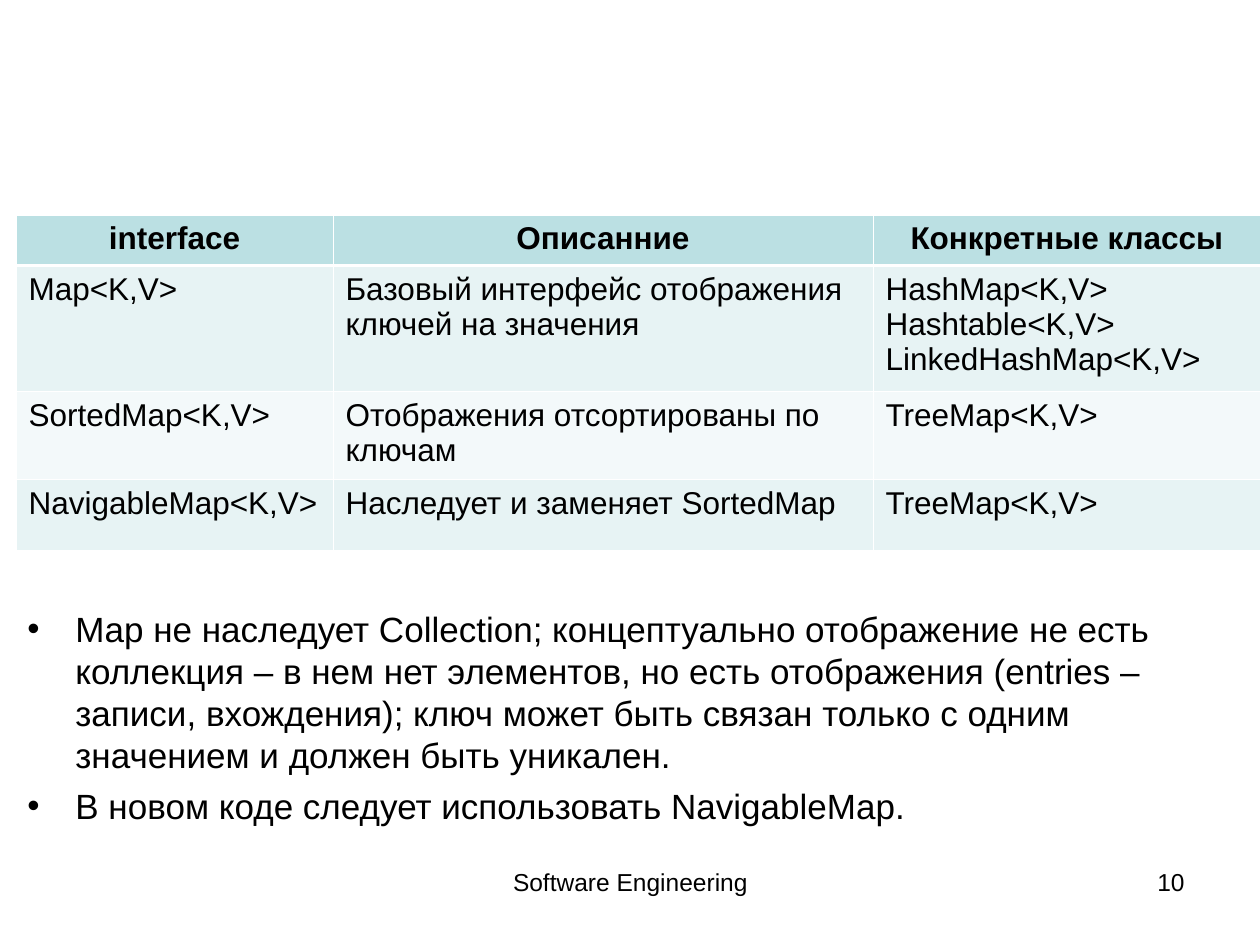
import dataclasses
import pptx
import pptx.dml.color
import pptx.enum.text
import pptx.oxml.ns
import pptx.util
from lxml import etree

SCALE = 914400 / 126
FONT = "Arial"
HUES = {"text": "000000", "head": "BBE0E3", "odd": "E7F3F4", "even": "F3F9FA", "line": "FFFFFF"}
ALIGN = pptx.enum.text.PP_ALIGN


@dataclasses.dataclass
class Box:
    left: int
    top: int
    width: int
    height: int
    lines: list[str]
    size: int
    align: ALIGN = ALIGN.LEFT
    listed: bool = False


@dataclasses.dataclass
class Row:
    height: int
    cells: list[str]
    fill: str
    bold: bool = False


COLS = [317, 540, 388]
ROWS = [
    Row(50, ["interface", "Описанние", "Конкретные классы"], "head", True),
    Row(126, ["Map<K,V>", "Базовый интерфейс отображения ключей на значения",
              "HashMap<K,V>\nHashtable<K,V>\nLinkedHashMap<K,V>"], "odd"),
    Row(88, ["SortedMap<K,V>", "Отображения отсортированы по ключам", "TreeMap<K,V>"], "even"),
    Row(71, ["NavigableMap<K,V>", "Наследует и заменяет SortedMap", "TreeMap<K,V>"], "odd"),
]
FOOT = [
    Box(431, 861, 399, 65, ["Software Engineering"], 14, ALIGN.CENTER),
    Box(903, 861, 294, 65, ["10"], 14, ALIGN.RIGHT),
]
NOTES = Box(15, 601, 1230, 243, [
    "Map не наследует Collection; концептуально отображение не есть коллекция – в нем нет "
    "элементов, но есть отображения (entries – записи, вхождения); ключ может быть связан "
    "только с одним значением и должен быть уникален.",
    "В новом коде следует использовать NavigableMap.",
], 20, listed=True)


def px(n: int) -> int:
    return round(n * SCALE)


def hue(key: str) -> pptx.dml.color.RGBColor:
    return pptx.dml.color.RGBColor.from_string(HUES[key])


def sub(node, tag: str, **attrs: str):
    return etree.SubElement(node, pptx.oxml.ns.qn(tag), attrs)


def style(frame, size: int, align: ALIGN, bold: bool = False) -> None:
    for para in frame.paragraphs:
        para.alignment = align
        for run in para.runs:
            run.font.name = FONT
            run.font.size = pptx.util.Pt(size)
            run.font.bold = bold
            run.font.color.rgb = hue("text")


def bullet(para) -> None:
    para.space_before = pptx.util.Pt(5)
    props = para._p.get_or_add_pPr()
    props.set("marL", str(px(48)))
    props.set("indent", str(px(-48)))
    sub(sub(props, "a:buClr"), "a:srgbClr", val=HUES["text"])
    sub(props, "a:buFont", typeface=FONT)
    sub(props, "a:buChar", char="•")


def border(cell, top: float, base: float) -> None:
    props = cell._tc.get_or_add_tcPr()
    for side, width in zip("LRTB", (0.45, 0.45, top, base)):
        line = sub(props, f"a:ln{side}", w=str(pptx.util.Pt(width)))
        sub(sub(line, "a:solidFill"), "a:srgbClr", val=HUES["line"])


def write(slide, box: Box) -> None:
    shape = slide.shapes.add_textbox(px(box.left), px(box.top), px(box.width), px(box.height))
    frame = shape.text_frame
    frame.word_wrap = True
    frame.text = "\n".join(box.lines)
    style(frame, box.size, box.align)
    if box.listed:
        for para in frame.paragraphs:
            bullet(para)


def grid(slide, left: int, top: int) -> None:
    width, height = sum(COLS), sum(row.height for row in ROWS)
    table = slide.shapes.add_table(len(ROWS), len(COLS), px(left), px(top),
                                   px(width), px(height)).table
    for col, size in zip(table.columns, COLS):
        col.width = px(size)
    for i, row in enumerate(ROWS):
        table.rows[i].height = px(row.height)
        for j, text in enumerate(row.cells):
            cell = table.cell(i, j)
            border(cell, 1.47 if i == 1 else 0.45, 1.47 if i == 0 else 0.45)
            cell.fill.solid()
            cell.fill.fore_color.rgb = hue(row.fill)
            cell.text_frame.text = text
            style(cell.text_frame, 18, ALIGN.CENTER if row.bold else ALIGN.LEFT, row.bold)


def main() -> None:
    deck = pptx.Presentation()
    deck.slide_width, deck.slide_height = px(1260), px(945)
    slide = deck.slides.add_slide(deck.slide_layouts[6])
    for box in FOOT:
        write(slide, box)
    grid(slide, 16, 215)
    write(slide, NOTES)
    deck.save("out.pptx")


if __name__ == "__main__":
    main()
